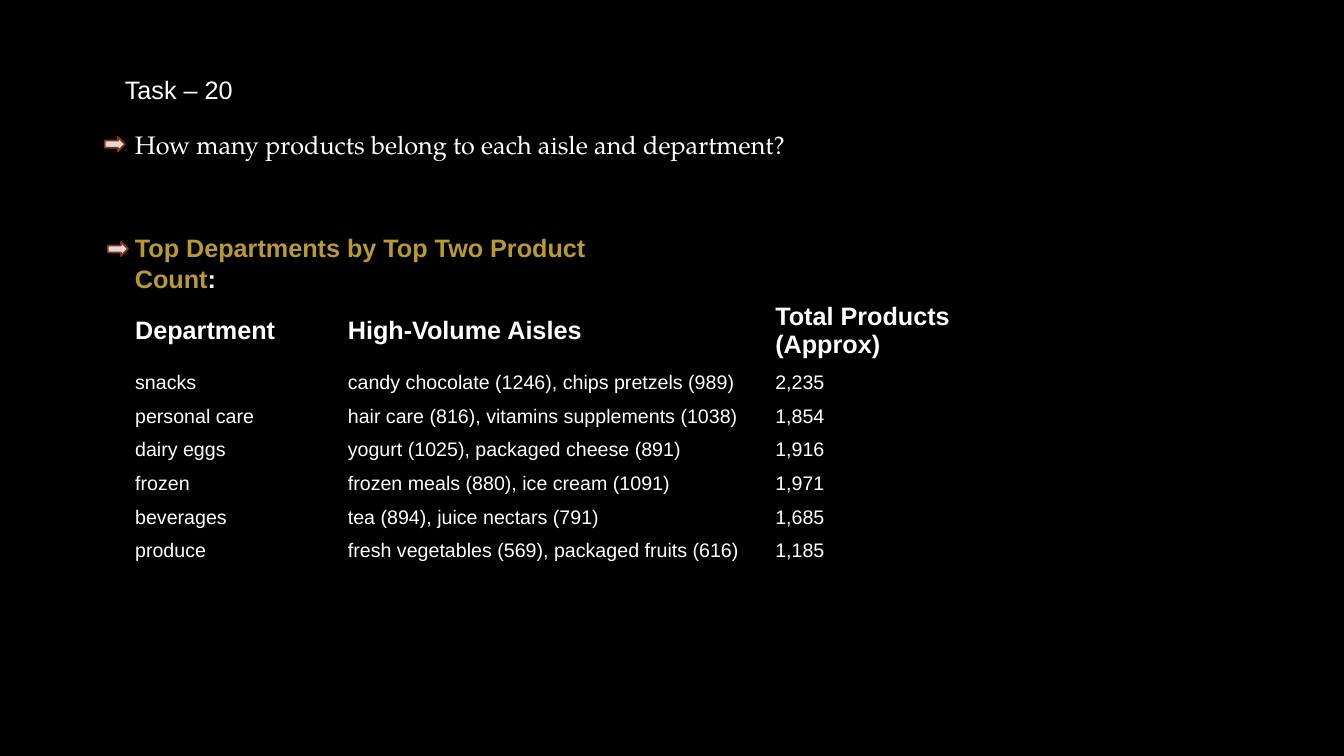
from dataclasses import dataclass
from typing import NamedTuple

from pptx import Presentation
from pptx.dml.color import RGBColor
from pptx.enum.shapes import MSO_SHAPE
from pptx.enum.text import MSO_ANCHOR, MSO_AUTO_SIZE
from pptx.slide import Slide
from pptx.text.text import Font
from pptx.util import Inches, Pt


@dataclass(frozen=True)
class Theme:
    background: RGBColor = RGBColor(0x00, 0x00, 0x00)
    text: RGBColor = RGBColor(0xFF, 0xFF, 0xFF)
    accent: RGBColor = RGBColor(0xB7, 0x99, 0x35)
    arrow_fill: RGBColor = RGBColor(0xDA, 0xDA, 0xDA)
    arrow_line: RGBColor = RGBColor(0x8B, 0x33, 0x14)
    sans: str = "Arial"
    serif: str = "TeX Gyre Pagella"
    heading_size: Pt = Pt(18)
    body_size: Pt = Pt(14)


THEME = Theme()
NO_STYLE_NO_GRID = "{2D5ABB26-0587-4C30-8999-92F81FD0307C}"


class Span(NamedTuple):
    text: str
    color: RGBColor = THEME.text


class Heading(NamedTuple):
    left: float
    top: float
    width: float
    spans: tuple[Span, ...]
    family: str = THEME.sans
    bold: bool = False


class Marker(NamedTuple):
    left: float
    top: float


class Department(NamedTuple):
    name: str
    aisles: str
    total: str


HEADINGS = (
    Heading(1.14, 0.69, 2.29, (Span("Task – 20"),)),
    Heading(1.24, 1.23, 7.52,
            (Span("How many products belong to each aisle and department?"),),
            family=THEME.serif),
    Heading(1.24, 2.26, 5.3,
            (Span("Top Departments by Top Two Product Count", THEME.accent), Span(":")),
            bold=True),
)
MARKERS = (Marker(1.04, 1.36), Marker(1.07, 2.4))

COLUMN_TITLES = Department("Department", "High-Volume Aisles", "Total Products (Approx)")
DEPARTMENTS = (
    Department("snacks", "candy chocolate (1246), chips pretzels (989)", "2,235"),
    Department("personal care", "hair care (816), vitamins supplements (1038)", "1,854"),
    Department("dairy eggs", "yogurt (1025), packaged cheese (891)", "1,916"),
    Department("frozen", "frozen meals (880), ice cream (1091)", "1,971"),
    Department("beverages", "tea (894), juice nectars (791)", "1,685"),
    Department("produce", "fresh vegetables (569), packaged fruits (616)", "1,185"),
)
COLUMN_WIDTHS = (2.11, 4.24, 2.88)
TITLE_ROW_HEIGHT = 0.69
DEPARTMENT_ROW_HEIGHT = 1 / 3


def set_font(font: Font, family: str, size: Pt, bold: bool) -> None:
    font.name = family
    font.size = size
    font.bold = bold


def add_heading(slide: Slide, heading: Heading) -> None:
    frame = slide.shapes.add_textbox(
        Inches(heading.left), Inches(heading.top), Inches(heading.width), Inches(0.4)
    ).text_frame
    frame.word_wrap = True
    frame.auto_size = MSO_AUTO_SIZE.SHAPE_TO_FIT_TEXT
    line = frame.paragraphs[0]
    set_font(line.font, heading.family, THEME.heading_size, heading.bold)
    for span in heading.spans:
        run = line.add_run()
        run.text = span.text
        run.font.color.rgb = span.color


def add_marker(slide: Slide, marker: Marker) -> None:
    arrow = slide.shapes.add_shape(
        MSO_SHAPE.RIGHT_ARROW,
        Inches(marker.left), Inches(marker.top), Inches(0.2), Inches(0.14),
    )
    arrow.shadow.inherit = False
    arrow.fill.solid()
    arrow.fill.fore_color.rgb = THEME.arrow_fill
    arrow.line.color.rgb = THEME.arrow_line
    arrow.line.width = Pt(1.25)


def add_department_table(slide: Slide) -> None:
    rows = (COLUMN_TITLES, *DEPARTMENTS)
    heights = (TITLE_ROW_HEIGHT, *[DEPARTMENT_ROW_HEIGHT] * len(DEPARTMENTS))
    table = slide.shapes.add_table(
        len(rows), len(COLUMN_WIDTHS), Inches(1.24), Inches(2.93),
        Inches(sum(COLUMN_WIDTHS)), Inches(sum(heights)),
    ).table
    table.horz_banding = False
    table._tbl.tblPr.find("{*}tableStyleId").text = NO_STYLE_NO_GRID
    for column, width in zip(table.columns, COLUMN_WIDTHS):
        column.width = Inches(width)
    for row_index, (department, height) in enumerate(zip(rows, heights)):
        table.rows[row_index].height = Inches(height)
        is_title = row_index == 0
        size = THEME.heading_size if is_title else THEME.body_size
        for cell, value in zip(table.rows[row_index].cells, department):
            cell.text = value
            cell.fill.background()
            cell.vertical_anchor = MSO_ANCHOR.MIDDLE
            font = cell.text_frame.paragraphs[0].font
            set_font(font, THEME.sans, size, is_title)
            font.color.rgb = THEME.text


def main() -> None:
    presentation = Presentation()
    presentation.slide_width = Inches(13.33)
    presentation.slide_height = Inches(7.5)
    slide = presentation.slides.add_slide(presentation.slide_layouts[6])
    slide.background.fill.solid()
    slide.background.fill.fore_color.rgb = THEME.background
    for heading in HEADINGS:
        add_heading(slide, heading)
    for marker in MARKERS:
        add_marker(slide, marker)
    add_department_table(slide)
    presentation.save("out.pptx")


if __name__ == "__main__":
    main()
